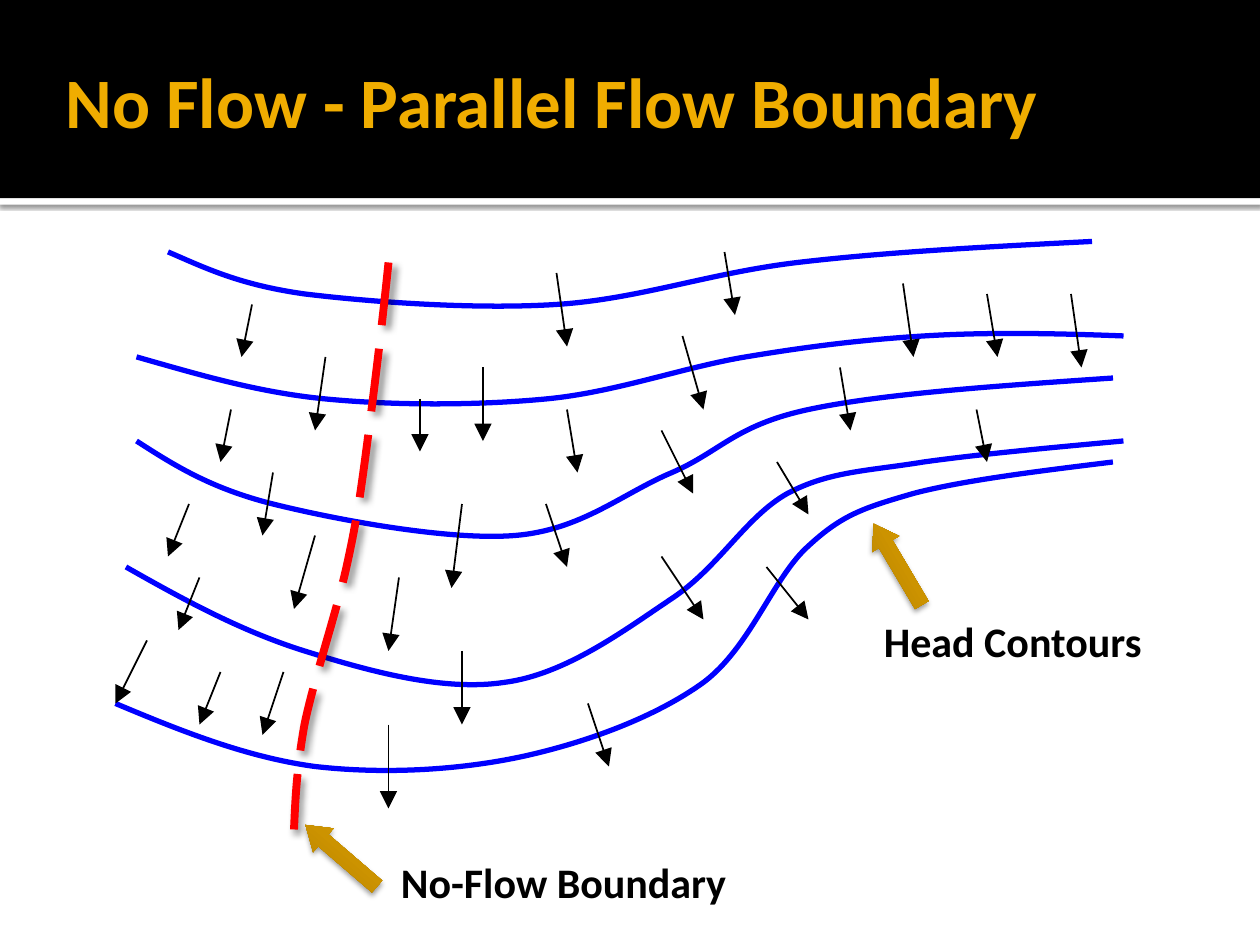
import lxml.etree
import pptx
import pptx.dml.color
import pptx.enum.dml
import pptx.enum.shapes
import pptx.enum.text
import pptx.oxml.ns
import pptx.util

RGBColor = pptx.dml.color.RGBColor
SHAPE = pptx.enum.shapes.MSO_SHAPE
qn = pptx.oxml.ns.qn

BLACK = RGBColor(0x00, 0x00, 0x00)
WHITE = RGBColor(0xFF, 0xFF, 0xFF)
GOLD = RGBColor(0xF0, 0xAD, 0x00)
BLUE = RGBColor(0x00, 0x00, 0xFF)
RED = RGBColor(0xFF, 0x00, 0x00)
GOLD_STOPS = [
    (0, RGBColor(0xAE, 0x7D, 0x00)),
    (55, RGBColor(0xCC, 0x93, 0x00)),
    (100, RGBColor(0xEE, 0xAB, 0x00)),
]

FONT = "Calibri"
EMU_PER_PX = 9525  # 96 px to the inch
GRID = 8  # flow arrows sit on a grid of 8 px

# Each curve: a start point, then two controls and an end per cubic section
CONTOURS = [
    [(128, 192), (156, 204), (182, 217), (232, 224), (281, 230), (361, 236),
     (424, 232), (487, 228), (540, 208), (608, 200), (676, 192), (754, 188),
     (832, 184)],
    [(104, 272), (150, 285), (196, 299), (248, 304), (300, 309), (363, 309),
     (416, 304), (469, 299), (520, 280), (568, 272), (616, 264), (656, 259),
     (704, 256), (752, 253), (804, 254), (856, 256)],
    [(104, 336), (132, 354), (160, 372), (208, 384), (256, 396), (342, 412),
     (392, 408), (443, 404), (474, 376), (512, 360), (549, 344), (560, 324),
     (616, 312), (672, 300), (760, 294), (848, 288)],
    [(96, 432), (140, 457), (184, 481), (232, 496), (280, 511), (337, 527),
     (384, 520), (431, 514), (476, 480), (512, 456), (548, 432), (568, 394),
     (600, 376), (632, 359), (661, 359), (704, 352), (747, 346), (802, 341),
     (856, 336)],
    [(88, 536), (138, 557), (188, 577), (240, 584), (292, 590), (350, 587),
     (400, 576), (449, 565), (500, 546), (536, 520), (572, 493), (589, 440),
     (616, 416), (642, 392), (658, 387), (696, 376), (734, 366), (791, 359),
     (848, 352)],
]
NO_FLOW_BOUNDARY = [
    (296, 200), (291, 249), (285, 298), (280, 336), (275, 374), (272, 396),
    (264, 432), (256, 468), (239, 518), (232, 552), (226, 586), (225, 609),
    (224, 632)]

# Flow arrows in grid steps: start x, start y, end x, end y
FLOW_ARROWS = [
    (24, 29, 23, 34), (22, 39, 21, 44), (18, 48, 16, 53), (14, 61, 11, 67),
    (30, 51, 28, 58), (19, 55, 17, 60), (21, 64, 19, 69), (27, 64, 25, 70),
    (44, 48, 43, 56), (54, 39, 55, 45), (63, 41, 66, 47), (52, 48, 54, 54),
    (44, 62, 44, 69), (37, 69, 37, 77), (56, 67, 58, 73), (63, 53, 67, 59),
    (74, 44, 77, 49), (73, 54, 77, 59), (46, 35, 46, 42), (53, 26, 54, 33),
    (69, 24, 70, 30), (65, 32, 67, 39), (80, 35, 81, 41), (86, 27, 87, 34),
    (93, 39, 94, 44), (94, 28, 95, 34), (102, 28, 103, 35), (31, 34, 30, 41),
    (26, 45, 25, 51), (38, 55, 37, 62), (40, 38, 40, 43),
]


def px(length):
    return pptx.util.Emu(length * EMU_PER_PX)


def add_shadow(shape, opacity, blur, distance, angle):
    """Give a shape a black outer shadow; blur and distance in points."""
    shape.shadow.inherit = False
    effects = shape.element.spPr.find(qn("a:effectLst"))
    shadow = lxml.etree.SubElement(
        effects, qn("a:outerShdw"), blurRad=str(pptx.util.Pt(blur)),
        dist=str(pptx.util.Pt(distance)), dir=str(angle * 60000),
        algn="tl", rotWithShape="0")
    color = lxml.etree.SubElement(shadow, qn("a:srgbClr"), val=str(BLACK))
    lxml.etree.SubElement(color, qn("a:alpha"), val=str(opacity * 1000))


def write_text(frame, text, size, color, bold=True):
    para = frame.paragraphs[0]
    para.alignment = pptx.enum.text.PP_ALIGN.LEFT
    span = para.add_run()
    span.text = text
    span.font.name = FONT
    span.font.size = pptx.util.Pt(size)
    span.font.bold = bold
    span.font.color.rgb = color


def add_band(page, top, height, color):
    band = page.shapes.add_shape(
        SHAPE.RECTANGLE, 0, px(top), px(960), px(height))
    band.shadow.inherit = False
    band.fill.solid()
    band.fill.fore_color.rgb = color
    band.line.fill.background()
    return band


def place_title(page, text):
    title = page.shapes.title
    title.left, title.top, title.width, title.height = map(
        px, (40, 16, 816, 120))
    frame = title.text_frame
    frame.auto_size = pptx.enum.text.MSO_AUTO_SIZE.NONE
    frame.vertical_anchor = pptx.enum.text.MSO_ANCHOR.MIDDLE
    frame.margin_left = px(10)
    frame.margin_right = frame.margin_top = frame.margin_bottom = px(5)
    write_text(frame, text, size=40.5, color=GOLD)
    # Bring the title in front of the header bands
    title.element.getparent().append(title.element)


def add_curve(shapes, points, color, width):
    """Draw a chain of cubic Bezier sections."""
    start, *others = [(px(x), px(y)) for x, y in points]
    builder = shapes.build_freeform(*start)
    builder.add_line_segments(others, close=False)
    curve = builder.convert_to_shape()
    # Join every three straight segments into one cubic section
    segments = list(curve.element.iter(qn("a:lnTo")))
    for first in range(0, len(segments), 3):
        section, *rest = segments[first:first + 3]
        section.tag = qn("a:cubicBezTo")
        for segment in rest:
            section.append(segment[0])
            segment.getparent().remove(segment)
    curve.shadow.inherit = False
    curve.fill.background()
    curve.line.color.rgb = color
    curve.line.width = pptx.util.Pt(width)
    return curve


def add_flow_arrow(shapes, steps):
    arrow = shapes.add_connector(
        pptx.enum.shapes.MSO_CONNECTOR.STRAIGHT,
        *(px(step * GRID) for step in steps))
    arrow.line.color.rgb = BLACK
    arrow.line.width = pptx.util.Pt(1)
    properties = arrow.element.spPr
    lxml.etree.SubElement(properties.find(qn("a:ln")), qn("a:tailEnd"),
                          type="triangle", w="lg", len="lg")
    lxml.etree.SubElement(properties, qn("a:effectLst"))


def add_pointer(page, left, top, rotation):
    pointer = page.shapes.add_shape(
        SHAPE.LEFT_ARROW, px(left), px(top), px(72), px(24))
    pointer.rotation = rotation
    pointer.adjustments[0] = 0.5
    pointer.adjustments[1] = 0.75
    pointer.line.fill.background()
    pointer.fill.gradient()
    pointer.fill.gradient_angle = 90
    stops = pointer.element.spPr.find(qn("a:gradFill")).find(qn("a:gsLst"))
    stops.clear()
    for position, color in GOLD_STOPS:
        stop = lxml.etree.SubElement(
            stops, qn("a:gs"), pos=str(position * 1000))
        lxml.etree.SubElement(stop, qn("a:srgbClr"), val=str(color))
    add_shadow(pointer, opacity=38, blur=3.1, distance=2, angle=90)


def add_label(page, text, left, top, width):
    box = page.shapes.add_textbox(px(left), px(top), px(width), px(48))
    box.text_frame.word_wrap = True
    box.text_frame.auto_size = pptx.enum.text.MSO_AUTO_SIZE.SHAPE_TO_FIT_TEXT
    write_text(box.text_frame, text, size=24, color=BLACK)


def main():
    deck = pptx.Presentation()
    deck.slide_width, deck.slide_height = px(960), px(720)
    page = deck.slides.add_slide(deck.slide_layouts.get_by_name("Title Only"))

    # Header
    rule = add_band(page, top=151, height=5, color=WHITE)
    add_shadow(rule, opacity=60, blur=2.5, distance=0.8, angle=90)
    add_band(page, top=0, height=151, color=BLACK)
    place_title(page, "No Flow - Parallel Flow Boundary")

    # Head contours and the boundary that crosses them
    contours = page.shapes.add_group_shape()
    for points in CONTOURS:
        add_curve(contours.shapes, points, BLUE, width=3)
    boundary = add_curve(page.shapes, NO_FLOW_BOUNDARY, RED, width=4.5)
    boundary.line.dash_style = pptx.enum.dml.MSO_LINE.LONG_DASH
    add_shadow(boundary, opacity=40, blur=4, distance=3, angle=45)

    # Flow directions
    flow = page.shapes.add_group_shape()
    for steps in FLOW_ARROWS:
        add_flow_arrow(flow.shapes, steps)

    # Labels with their pointers
    add_label(page, "Head Contours", left=664, top=464, width=264)
    add_pointer(page, left=648, top=418, rotation=59.4)
    add_label(page, "No-Flow Boundary", left=296, top=648, width=320)
    add_pointer(page, left=224, top=640, rotation=40.7)

    deck.save("out.pptx")


if __name__ == "__main__":
    main()
